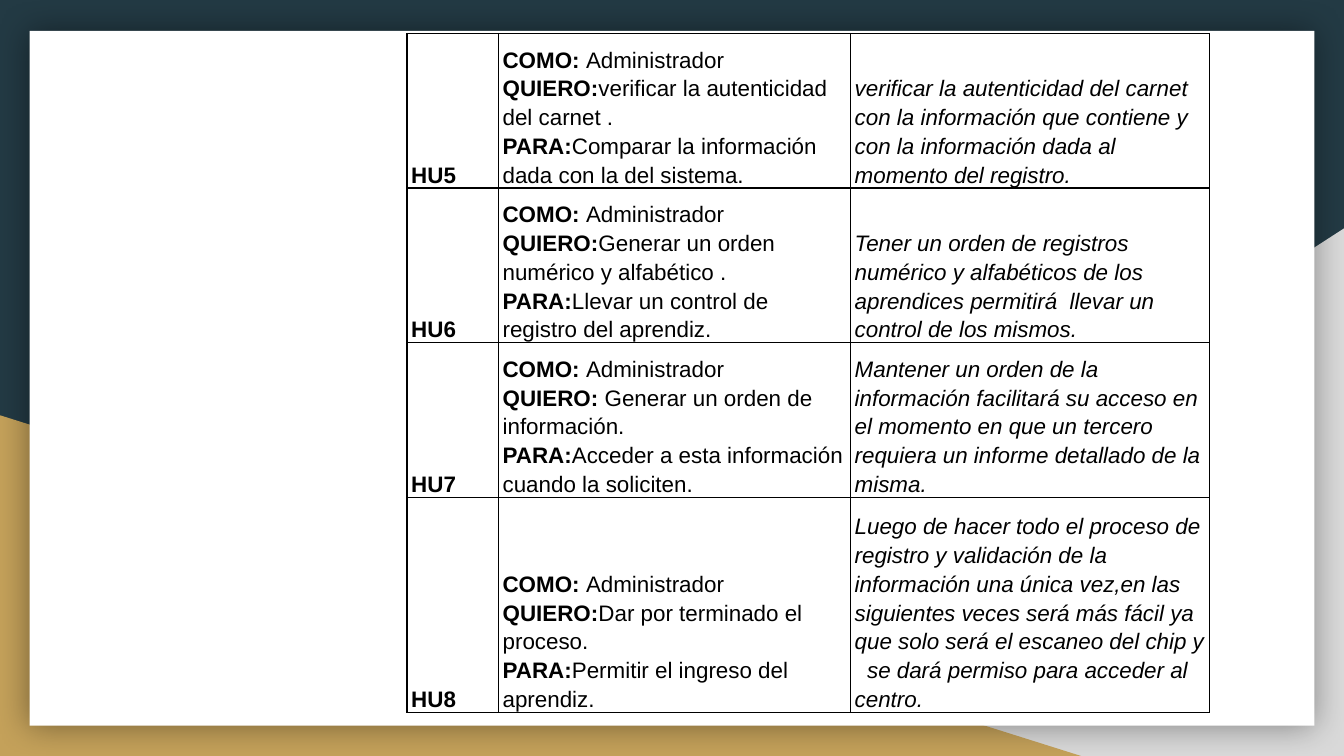
import pptx
import pptx.dml.color
import pptx.enum.shapes
import pptx.enum.text
import pptx.oxml
import pptx.oxml.ns
import pptx.util
from pptx.util import Inches

SHAPES = pptx.enum.shapes.MSO_SHAPE
NAMESPACE = pptx.oxml.ns.nsdecls("a")
INK = "000000"
COLUMN_WIDTHS = [0.68, 2.62, 2.67]
ROW_HEIGHTS = [1.15, 1.15, 1.15, 1.6]
STORIES = [
    ("HU5", "verificar la autenticidad del carnet .",
     "Comparar la información dada con la del sistema.",
     "verificar la autenticidad del carnet con la información que contiene y  "
     "con la información dada al momento del registro."),
    ("HU6", "Generar un orden numérico y alfabético .",
     "Llevar un control de registro del aprendiz.",
     "Tener un orden de registros numérico y alfabéticos de los aprendices "
     "permitirá  llevar un control de los mismos."),
    ("HU7", " Generar un orden de información.",
     "Acceder a esta información cuando la soliciten.",
     "Mantener un orden de la información facilitará su acceso en el momento "
     "en que un tercero requiera un informe detallado de la misma."),
    ("HU8", "Dar por terminado el proceso.",
     "Permitir el ingreso del aprendiz.",
     "Luego de hacer todo el proceso de registro y validación de la información "
     "una única vez,en las siguientes veces será más fácil ya que solo será el "
     "escaneo del chip y   se dará permiso para acceder al centro."),
]


def paint(fill, color):
    """Give a fill one solid colour."""
    fill.solid()
    fill.fore_color.rgb = pptx.dml.color.RGBColor.from_string(color)


def add_panel(slide, preset, box, color):
    """Add a borderless filled shape without a shadow."""
    panel = slide.shapes.add_shape(preset, *map(Inches, box))
    panel.shadow.inherit = False
    paint(panel.fill, color)
    panel.line.fill.background()
    return panel


def add_glow_shadow(panel):
    """Surround a panel with a soft, centred shadow."""
    effects = panel._element.spPr.find(pptx.oxml.ns.qn("a:effectLst"))
    effects.append(pptx.oxml.parse_xml(
        f'<a:outerShdw {NAMESPACE} blurRad="{pptx.util.Pt(18)}" dist="0" dir="0" '
        f'algn="ctr" rotWithShape="0"><a:srgbClr val="{INK}">'
        '<a:alpha val="40000"/></a:srgbClr></a:outerShdw>'))


def add_run(paragraph, text, size=12, bold=False, italic=False, color=INK):
    """Append formatted text to a paragraph."""
    run = paragraph.add_run()
    run.text = text
    run.font.name = "Arial"
    run.font.size = pptx.util.Pt(size)
    run.font.bold = bold
    run.font.italic = italic
    paint(run.font.fill, color)


def add_borders(cell):
    """Draw a thin line on all four sides of a cell."""
    properties = cell._tc.get_or_add_tcPr()
    for position, side in enumerate(("lnL", "lnR", "lnT", "lnB")):
        properties.insert(position, pptx.oxml.parse_xml(
            f'<a:{side} {NAMESPACE} w="{pptx.util.Pt(0.94)}"><a:solidFill>'
            f'<a:srgbClr val="{INK}"/></a:solidFill></a:{side}>'))


def fill_cell(cell, paragraphs):
    """Write paragraphs of (text, format) pieces into a bordered cell."""
    cell.fill.background()
    cell.margin_left = cell.margin_right = Inches(0.03)
    cell.margin_top = cell.margin_bottom = 0
    cell.vertical_anchor = pptx.enum.text.MSO_ANCHOR.BOTTOM
    add_borders(cell)
    for index, pieces in enumerate(paragraphs):
        frame = cell.text_frame
        paragraph = frame.add_paragraph() if index else frame.paragraphs[0]
        paragraph.line_spacing = 1.15
        for text, style in pieces:
            add_run(paragraph, text, **style)


def add_backdrop(slide):
    """Add the corner triangles and the white page."""
    paint(slide.background.fill, "233A44")
    grey_corner = add_panel(slide, SHAPES.RIGHT_TRIANGLE, (3.92, 1.7, 6.08, 3.93), "D9D9D9")
    grey_corner._element.spPr.xfrm.set("flipH", "1")
    add_panel(slide, SHAPES.RIGHT_TRIANGLE, (0, 3.09, 8.06, 2.54), "C4A15A")
    add_glow_shadow(add_panel(slide, SHAPES.RECTANGLE, (0.22, 0.23, 9.56, 5.17), "FFFFFF"))


def add_story_table(slide):
    """Add the table of user stories."""
    table = slide.shapes.add_table(
        len(STORIES), len(COLUMN_WIDTHS), Inches(3.03), Inches(0.25),
        Inches(sum(COLUMN_WIDTHS)), Inches(sum(ROW_HEIGHTS))).table
    table.first_row = table.horz_banding = False
    for column, width in zip(table.columns, COLUMN_WIDTHS):
        column.width = Inches(width)
    for row, height, (code, wish, purpose, outcome) in zip(table.rows, ROW_HEIGHTS, STORIES):
        row.height = Inches(height)
        parts = [("COMO: ", "Administrador"), ("QUIERO:", wish), ("PARA:", purpose)]
        contents = [
            [[(code, {"bold": True})]],
            [[(label, {"bold": True}), (text, {})] for label, text in parts],
            [[(outcome, {"italic": True})]],
        ]
        for cell, paragraphs in zip(row.cells, contents):
            fill_cell(cell, paragraphs)


def main():
    """Build and save the slide."""
    deck = pptx.Presentation()
    deck.slide_width = Inches(10)
    deck.slide_height = deck.slide_width * 9 // 16
    slide = deck.slides.add_slide(deck.slide_layouts[6])
    add_backdrop(slide)
    add_story_table(slide)
    deck.save("out.pptx")


if __name__ == "__main__":
    main()
